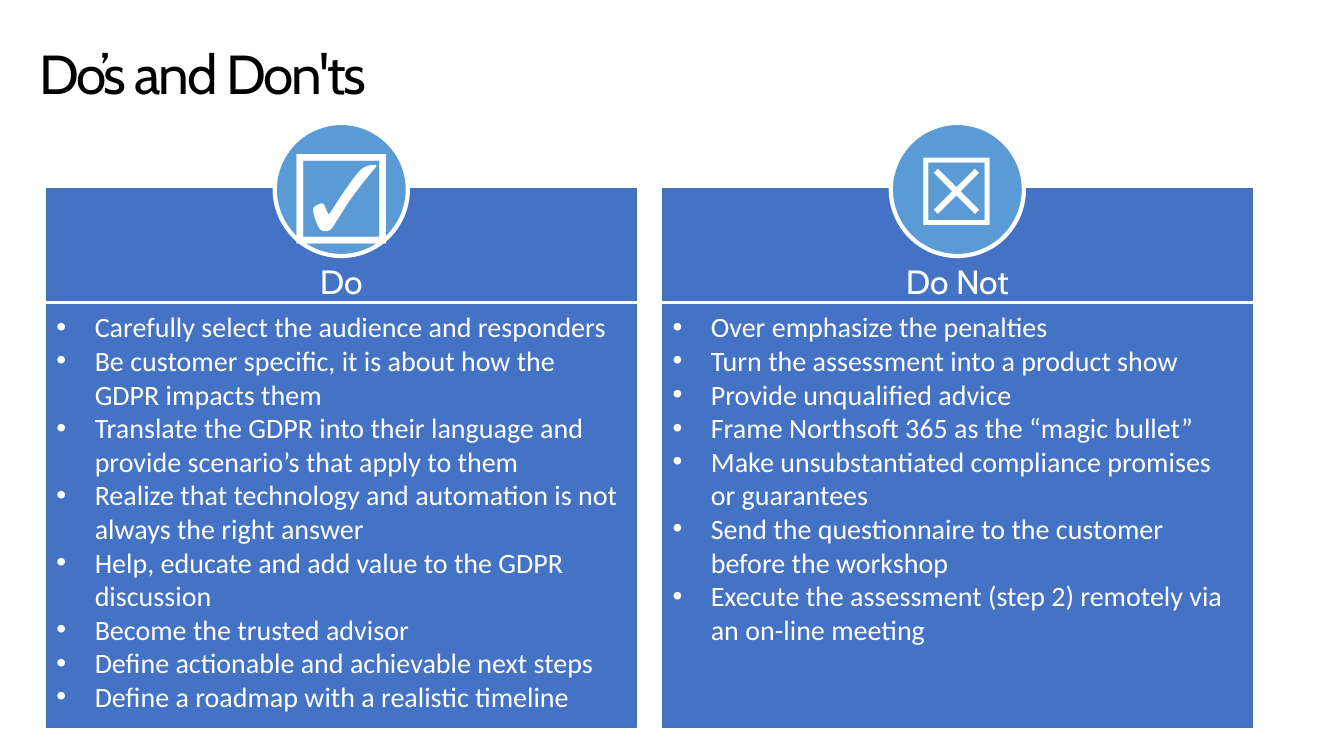
from dataclasses import dataclass

from lxml import etree
from pptx import Presentation
from pptx.dml.color import RGBColor
from pptx.enum.shapes import MSO_CONNECTOR, MSO_SHAPE
from pptx.enum.text import MSO_ANCHOR, MSO_AUTO_SIZE, PP_ALIGN
from pptx.oxml.ns import qn
from pptx.util import Inches, Pt

RECTANGLE, OVAL = MSO_SHAPE.RECTANGLE, MSO_SHAPE.OVAL
STRAIGHT = MSO_CONNECTOR.STRAIGHT
MIDDLE, TOP = MSO_ANCHOR.MIDDLE, MSO_ANCHOR.TOP
NO_FIT, GROW = MSO_AUTO_SIZE.NONE, MSO_AUTO_SIZE.SHAPE_TO_FIT_TEXT
LEFT, CENTER = PP_ALIGN.LEFT, PP_ALIGN.CENTER


@dataclass(frozen=True)
class Theme:
    black: RGBColor = RGBColor.from_string("000000")
    white: RGBColor = RGBColor.from_string("FFFFFF")
    panel: RGBColor = RGBColor.from_string("4472C4")
    panel_edge: RGBColor = RGBColor.from_string("43739E")
    badge: RGBColor = RGBColor.from_string("5B9BD5")
    heading_font: str = "Cabin"
    body_font: str = "Calibri"
    title_size: float = 39.2
    heading_size: float = 24
    body_size: float = 20
    mark_size: float = 66


THEME = Theme()


def write(paragraph, text, *, size, font=THEME.body_font, color=THEME.white,
          align=LEFT, after=0, line_spacing=1.0, tracking=0, bullet=None):
    paragraph.alignment = align
    paragraph.space_before = Pt(0)
    paragraph.space_after = Pt(after)
    paragraph.line_spacing = line_spacing
    run = paragraph.add_run()
    run.text = text
    run.font.size = Pt(size)
    run.font.name = font
    run.font.color.rgb = color
    if tracking:
        run.font._element.set("spc", str(int(tracking * 100)))
    properties = paragraph._p.get_or_add_pPr()
    hanging = Inches(0.38) if bullet else 0
    properties.set("marL", str(hanging))
    properties.set("indent", str(-hanging))
    if bullet:
        etree.SubElement(properties, qn("a:buFont")).set("typeface", "Arial")
        etree.SubElement(properties, qn("a:buChar")).set("char", bullet)
    else:
        etree.SubElement(properties, qn("a:buNone"))


def add_filled(kind, left, top, width, height, fill, edge, edge_width):
    shape = slide.shapes.add_shape(
        kind, Inches(left), Inches(top), Inches(width), Inches(height))
    shape.shadow.inherit = False
    shape.fill.solid()
    shape.fill.fore_color.rgb = fill
    shape.line.color.rgb = edge
    shape.line.width = Pt(edge_width)


presentation = Presentation()
presentation.slide_width = Inches(13.33)
presentation.slide_height = Inches(7.5)
slide = presentation.slides.add_slide(presentation.slide_layouts[3])

title = slide.shapes.title
title.left, title.top = Inches(0.29), Inches(0.32)
title.width, title.height = Inches(12.75), Inches(0.88)
title.text_frame.auto_size = NO_FIT
title.text_frame.vertical_anchor = MIDDLE
write(title.text_frame.paragraphs[0], "Do’s and Don'ts", size=THEME.title_size,
      font=THEME.heading_font, color=THEME.black, line_spacing=0.9, tracking=-1.5)

columns = [
    ("Do", "☑", 4.63, [
        "Carefully select the audience and responders",
        "Be customer specific, it is about how the GDPR impacts them",
        "Translate the GDPR into their language and provide scenario’s that apply to them",
        "Realize that technology and automation is not always the right answer",
        "Help, educate and add value to the GDPR discussion",
        "Become the trusted advisor",
        "Define actionable and achievable next steps",
        "Define a roadmap with a realistic timeline",
    ]),
    ("Do Not", "☒", 3.95, [
        "Over emphasize the penalties",
        "Turn the assessment into a product show",
        "Provide unqualified advice",
        "Frame Northsoft 365 as the “magic bullet”",
        "Make unsubstantiated compliance promises or guarantees",
        "Send the questionnaire to the customer before the workshop",
        "Execute the assessment (step 2) remotely via an on-line meeting",
    ]),
]

PANEL_LEFT, PANEL_WIDTH, PANEL_PITCH = 0.46, 5.85, 6.11
BADGE_TOP, BADGE_SIZE = 1.22, 1.32
MARK_WIDTH, MARK_HEIGHT = 1.22, 1.21

for index, (heading, mark, advice_height, advice) in enumerate(columns):
    panel_left = PANEL_LEFT + index * PANEL_PITCH
    center = panel_left + PANEL_WIDTH / 2
    add_filled(RECTANGLE, panel_left, 1.87, PANEL_WIDTH, 5.35,
               THEME.panel, THEME.panel_edge, 1)
    add_filled(OVAL, center - BADGE_SIZE / 2, BADGE_TOP, BADGE_SIZE, BADGE_SIZE,
               THEME.badge, THEME.white, 3)

    badge_mark = slide.shapes.add_textbox(
        Inches(center - MARK_WIDTH / 2), Inches(BADGE_TOP + 0.05),
        Inches(MARK_WIDTH), Inches(MARK_HEIGHT))
    badge_mark.text_frame.word_wrap = True
    badge_mark.text_frame.auto_size = GROW
    badge_mark.text_frame.vertical_anchor = MIDDLE
    write(badge_mark.text_frame.paragraphs[0], mark, size=THEME.mark_size, align=CENTER)

    advice_list = slide.placeholders[index + 1]
    advice_list.left, advice_list.top = Inches(panel_left), Inches(2.54)
    advice_list.width, advice_list.height = Inches(PANEL_WIDTH), Inches(advice_height)
    slide.shapes.element.append(advice_list.element)
    advice_frame = advice_list.text_frame
    advice_frame.auto_size = NO_FIT
    advice_frame.vertical_anchor = TOP
    write(advice_frame.paragraphs[0], heading, size=THEME.heading_size,
          font=THEME.heading_font, align=CENTER, after=6)
    for line in advice:
        write(advice_frame.add_paragraph(), line, size=THEME.body_size, bullet="•")

divider = slide.shapes.add_connector(
    STRAIGHT, Inches(0.24), Inches(3), Inches(12.94), Inches(3))
divider.line.color.rgb = THEME.white
divider.line.width = Pt(2.25)
etree.SubElement(divider.element.spPr, qn("a:effectLst"))

presentation.save("out.pptx")
